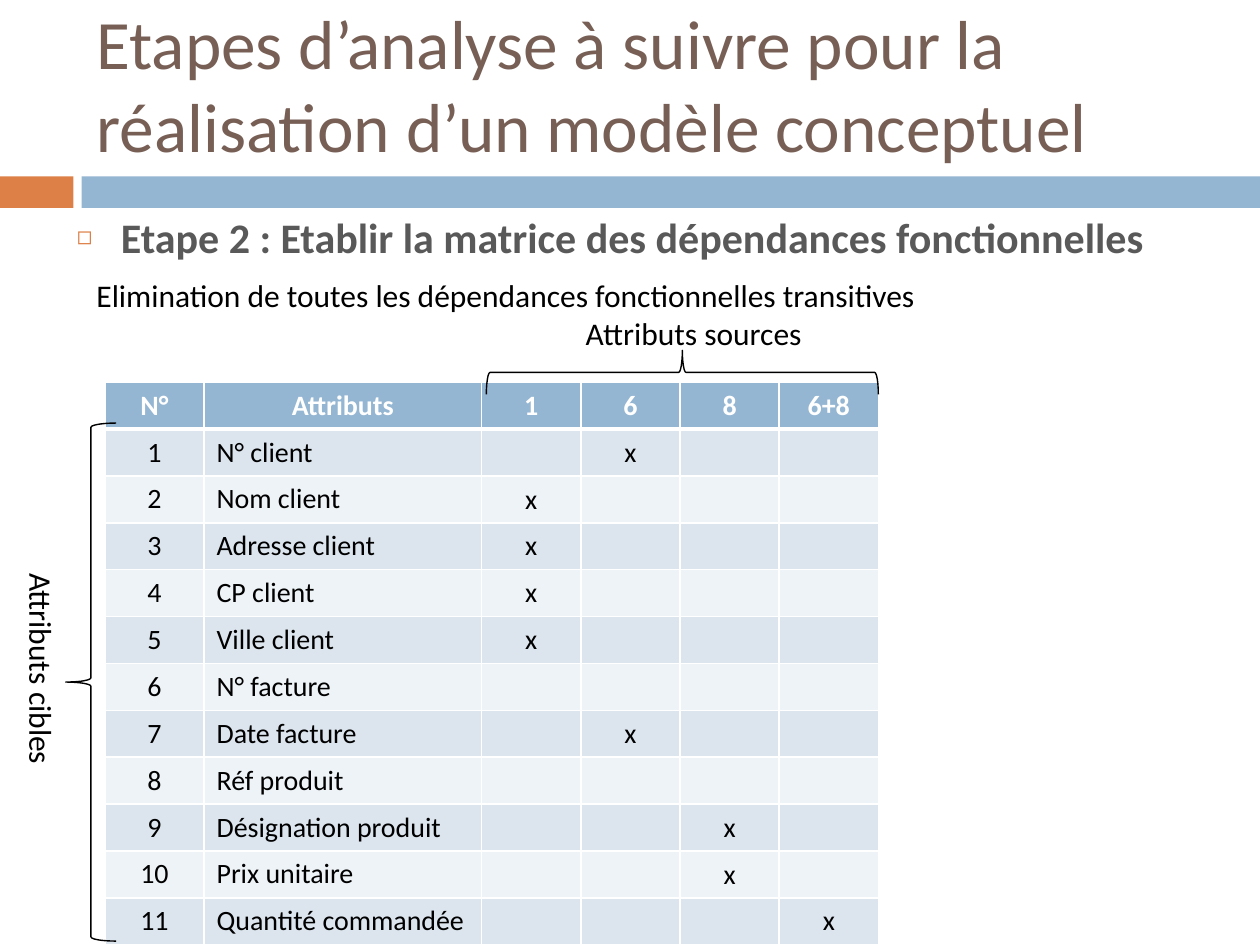
from lxml.etree import SubElement
from pptx import Presentation
from pptx.dml.color import RGBColor
from pptx.enum.shapes import MSO_SHAPE as Shape
from pptx.enum.text import MSO_ANCHOR as Anchor, MSO_AUTO_SIZE as AutoSize, PP_ALIGN as Align
from pptx.oxml import parse_xml
from pptx.oxml.ns import nsdecls, qn
from pptx.util import Pt

COLORS = {
    "orange": "DD8047", "blue": "94B6D2", "title": "775F55", "step": "595959",
    "black": "000000", "white": "FFFFFF", "odd": "DCE5EE", "even": "EEF3F7",
}
FONT = "Calibri"
TITLE = "Etapes d’analyse à suivre pour la réalisation d’un modèle conceptuel"
STEP = "Etape 2 : Etablir la matrice des dépendances fonctionnelles"
SOURCES = ["1", "6", "8", "6+8"]
TARGETS = [
    ("N° client", "6"), ("Nom client", "1"), ("Adresse client", "1"),
    ("CP client", "1"), ("Ville client", "1"), ("N° facture", None),
    ("Date facture", "6"), ("Réf produit", None), ("Désignation produit", "8"),
    ("Prix unitaire", "8"), ("Quantité commandée", "6+8"),
]
BARS = [((0, 100.8, 42, 18), "orange"), ((46.6, 100.8, 673.4, 18), "blue")]
LABELS = [
    ("Elimination de toutes les dépendances fonctionnelles transitives",
     (48, 154, 572.4, 29), 0),
    ("Attributs sources", (327.6, 175.8, 145.4, 29), 0),
    ("Attributs cibles", (-61.2, 391, 170, 29), 90),
]
BRACES = [((37.6, 241.8, 28.8, 296), 0), ((377.3, 100.8, 25.2, 224), 90)]
TABLE_LEFT, TABLE_TOP, ROW_HEIGHT = 59.9, 218.4, 26.4
COLUMN_WIDTHS = [56.7, 158.6] + [56.7] * len(SOURCES)


def rgb(name):
    return RGBColor.from_string(COLORS[name])


def points(bounds):
    return [Pt(value) for value in bounds]


def place(shape, bounds):
    shape.left, shape.top, shape.width, shape.height = points(bounds)


def write(para, text, size, color, bold=False):
    span = para.add_run()
    span.text = text
    span.font.name, span.font.size, span.font.bold = FONT, Pt(size), bold
    span.font.color.rgb = rgb(color)


def add_bullet(para):
    props = para._p.get_or_add_pPr()
    props.set("marL", str(Pt(25.2)))
    props.set("indent", str(Pt(-25.2)))
    color = SubElement(props, qn("a:buClr"))
    SubElement(color, qn("a:srgbClr"), val=COLORS["orange"])
    SubElement(props, qn("a:buSzPct"), val="60000")
    SubElement(props, qn("a:buChar"), char="◻")


def add_borders(cell, top, bottom):
    props = cell._tc.get_or_add_tcPr()
    sides = [("L", 1), ("R", 1), ("T", top), ("B", bottom)]
    for index, (side, width) in enumerate(sides):
        props.insert(index, parse_xml(
            f'<a:ln{side} {nsdecls("a")} w="{Pt(width)}"><a:solidFill>'
            f'<a:srgbClr val="{COLORS["white"]}"/></a:solidFill></a:ln{side}>'))


def add_matrix(page):
    rows = [["N°", "Attributs"] + SOURCES]
    for number, (name, source) in enumerate(TARGETS, 1):
        rows.append([str(number), name] + ["x" if source == head else "" for head in SOURCES])
    bounds = (TABLE_LEFT, TABLE_TOP, sum(COLUMN_WIDTHS), ROW_HEIGHT * len(rows))
    table = page.shapes.add_table(len(rows), len(COLUMN_WIDTHS), *points(bounds)).table
    for column, width in zip(table.columns, COLUMN_WIDTHS):
        column.width = Pt(width)
    for r, row in enumerate(rows):
        table.rows[r].height = Pt(ROW_HEIGHT)
        header = r == 0
        fill = "blue" if header else "odd" if r % 2 else "even"
        for c, text in enumerate(row):
            cell = table.cell(r, c)
            cell.fill.solid()
            cell.fill.fore_color.rgb = rgb(fill)
            add_borders(cell, 3 if r == 1 else 1, 3 if header else 1)
            if c > 1 or (header and c == 1):
                cell.vertical_anchor = Anchor.MIDDLE
            para = cell.text_frame.paragraphs[0]
            para.alignment = Align.LEFT if c == 1 and not header else Align.CENTER
            if text:
                write(para, text, 16, "white" if header else "black", header)
            else:
                SubElement(para._p, qn("a:endParaRPr"), sz="1600")


def main():
    deck = Presentation()
    deck.slide_width, deck.slide_height = Pt(720), Pt(540)
    page = deck.slides.add_slide(deck.slide_layouts[1])

    for bounds, color in BARS:
        bar = page.shapes.add_shape(Shape.RECTANGLE, *points(bounds))
        bar.shadow.inherit = False
        bar.fill.solid()
        bar.fill.fore_color.rgb = rgb(color)
        bar.line.fill.background()

    title, body = page.shapes.title, page.placeholders[1]
    place(title, (48, 12.2, 642.2, 70.6))
    place(body, (36.7, 117.4, 664.6, 36))
    for box, anchor in ((title, Anchor.MIDDLE), (body, Anchor.TOP)):
        box.text_frame.auto_size = AutoSize.NONE
        box.text_frame.vertical_anchor = anchor
    para = title.text_frame.paragraphs[0]
    para.alignment = Align.LEFT
    write(para, TITLE, 39.6, "title")
    para = body.text_frame.paragraphs[0]
    para.space_before = Pt(7)
    add_bullet(para)
    write(para, STEP, 24, "step", True)

    add_matrix(page)

    for text, bounds, rotation in LABELS:
        box = page.shapes.add_textbox(*points(bounds))
        box.rotation = rotation
        box.text_frame.word_wrap = True
        write(box.text_frame.paragraphs[0], text, 18, "black")

    for bounds, rotation in BRACES:
        brace = page.shapes.add_shape(Shape.LEFT_BRACE, *points(bounds))
        brace.rotation = rotation
        brace.shadow.inherit = False
        brace.fill.background()
        brace.line.color.rgb = rgb("black")
        brace.line.width = Pt(0.79)

    deck.save("out.pptx")


if __name__ == "__main__":
    main()
